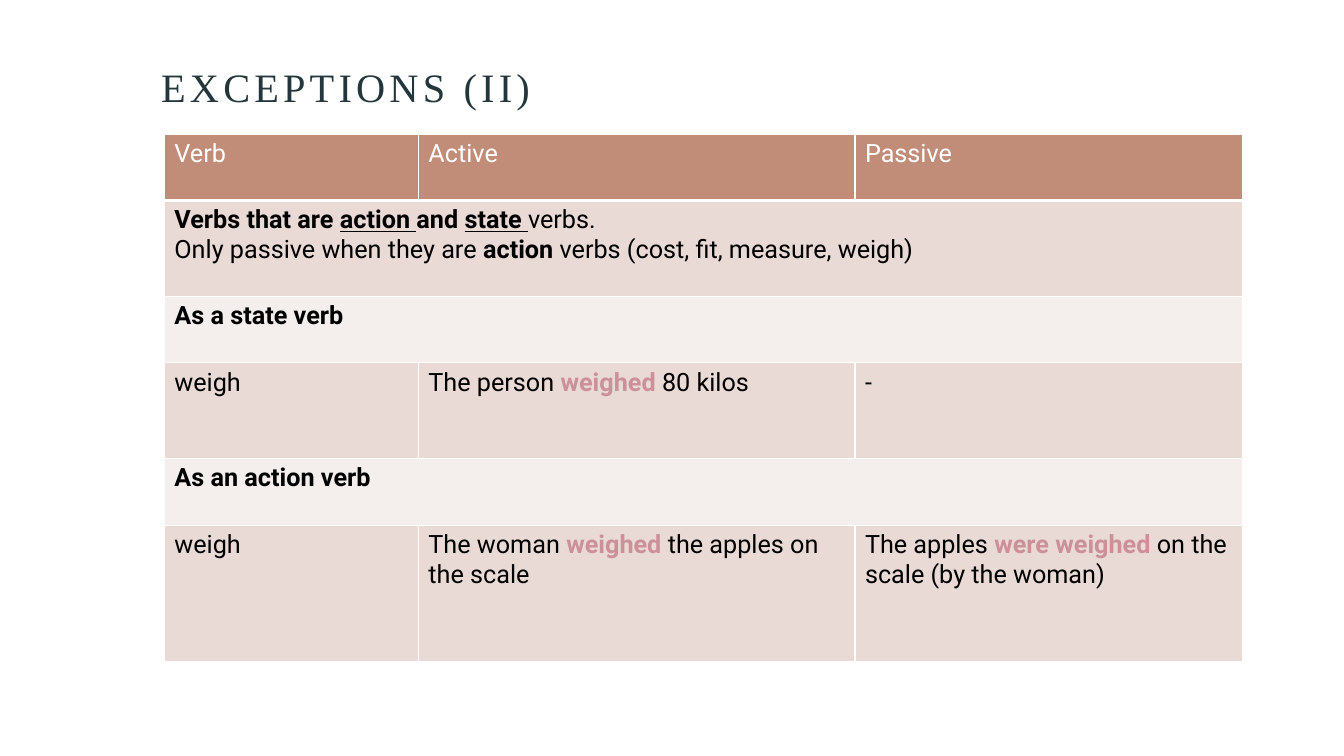
import pptx
import pptx.util
import pptx.dml.color
import pptx.enum.text
import pptx.oxml.ns
from lxml import etree

Inches, Pt = pptx.util.Inches, pptx.util.Pt
RGB = pptx.dml.color.RGBColor.from_string

THEME = {
    "title_font": "Times New Roman", "title_size": 28.8, "title_color": "22363C",
    "title_tracking": 3,
    "font": "Roboto", "size": 18, "ink": "000000", "accent": "CC9099",
    "header_ink": "FFFFFF", "header_fill": "C18C78",
    "bands": ("E9DAD6", "F4EEEC"), "border": "FFFFFF",
    "border_width": 1, "header_rule": 3,
}

# Content: row > cell > paragraph > (text, marks); b bold, u underlined, a accent
TITLE = "EXCEPTIONS (II)"
ROWS = [
    [[[("Verb", "")]], [[("Active", "")]], [[("Passive", "")]]],
    [[[("Verbs that are ", "b"), ("action ", "bu"), ("and ", "b"),
       ("state", "bu"), (" ", "u"), ("verbs.", "")],
      [("Only passive when they are ", ""), ("action ", "b"),
       ("verbs (cost, fit, measure, weigh)", "")]]],
    [[[("As a state verb", "b")]]],
    [[[("weigh", "")]],
     [[("The person ", ""), ("weighed", "ba"), (" 80 kilos", "")]],
     [[("-", "")]]],
    [[[("As an action verb", "b")]]],
    [[[("weigh", "")]],
     [[("The woman ", ""), ("weighed ", "ba"), ("the apples on the scale", "")]],
     [[("The apples ", ""), ("were weighed ", "ba"),
       ("on the scale (by the woman)", "")]]],
]
COL_WIDTHS = (2.52, 4.33, 3.84)
ROW_HEIGHTS = (0.66, 0.95, 0.66, 0.95, 0.66, 1.35)
TABLE_LEFT, TABLE_TOP = 1.63, 1.33


def add_run(p, text, name, size, color, **formats):
    r = p.add_run()
    r.text = text
    for key, value in {"name": name, "size": Pt(size), **formats}.items():
        setattr(r.font, key, value)
    r.font.color.rgb = RGB(color)
    return r


def set_borders(cell, bottom):
    tc_pr = cell._tc.get_or_add_tcPr()
    width = THEME["border_width"]
    for side, points in (("L", width), ("R", width), ("T", width), ("B", bottom)):
        ln = etree.SubElement(tc_pr, pptx.oxml.ns.qn(f"a:ln{side}"), w=str(Pt(points)))
        fill = etree.SubElement(ln, pptx.oxml.ns.qn("a:solidFill"))
        etree.SubElement(fill, pptx.oxml.ns.qn("a:srgbClr"), val=THEME["border"])


def fill_cell(cell, paragraphs, ink):
    tf = cell.text_frame
    for i, runs in enumerate(paragraphs):
        p = tf.add_paragraph() if i else tf.paragraphs[0]
        for text, marks in runs:
            add_run(p, text, THEME["font"], THEME["size"],
                    THEME["accent"] if "a" in marks else ink,
                    bold="b" in marks, underline="u" in marks)


def add_title(s):
    box = s.shapes.add_textbox(Inches(1.5), Inches(0.75), Inches(10.38), Inches(0.4))
    tf = box.text_frame
    tf.word_wrap = True
    tf.vertical_anchor = pptx.enum.text.MSO_ANCHOR.BOTTOM
    p = tf.paragraphs[0]
    p.line_spacing = 0.9
    r = add_run(p, TITLE, THEME["title_font"], THEME["title_size"], THEME["title_color"])
    r._r.get_or_add_rPr().set("spc", str(THEME["title_tracking"] * 100))


def add_verb_table(s):
    table = s.shapes.add_table(
        len(ROWS), len(COL_WIDTHS), Inches(TABLE_LEFT), Inches(TABLE_TOP),
        Inches(sum(COL_WIDTHS)), Inches(sum(ROW_HEIGHTS))).table
    for column, width in zip(table.columns, COL_WIDTHS):
        column.width = Inches(width)

    for i, (cells, height) in enumerate(zip(ROWS, ROW_HEIGHTS)):
        table.rows[i].height = Inches(height)
        header = i == 0
        # Header has its own fill; body rows alternate
        fill = THEME["header_fill"] if header else THEME["bands"][(i - 1) % 2]
        for j in range(len(COL_WIDTHS)):
            cell = table.cell(i, j)
            set_borders(cell, THEME["header_rule" if header else "border_width"])
            cell.fill.solid()
            cell.fill.fore_color.rgb = RGB(fill)
        # A lone cell spans the whole row
        if len(cells) == 1:
            table.cell(i, 0).merge(table.cell(i, len(COL_WIDTHS) - 1))
        for j, paragraphs in enumerate(cells):
            fill_cell(table.cell(i, j), paragraphs,
                      THEME["header_ink" if header else "ink"])


def main():
    prs = pptx.Presentation()
    prs.slide_width, prs.slide_height = Inches(13.33), Inches(7.5)
    s = prs.slides.add_slide(prs.slide_layouts[6])
    add_title(s)
    add_verb_table(s)
    prs.save("out.pptx")


if __name__ == "__main__":
    main()
